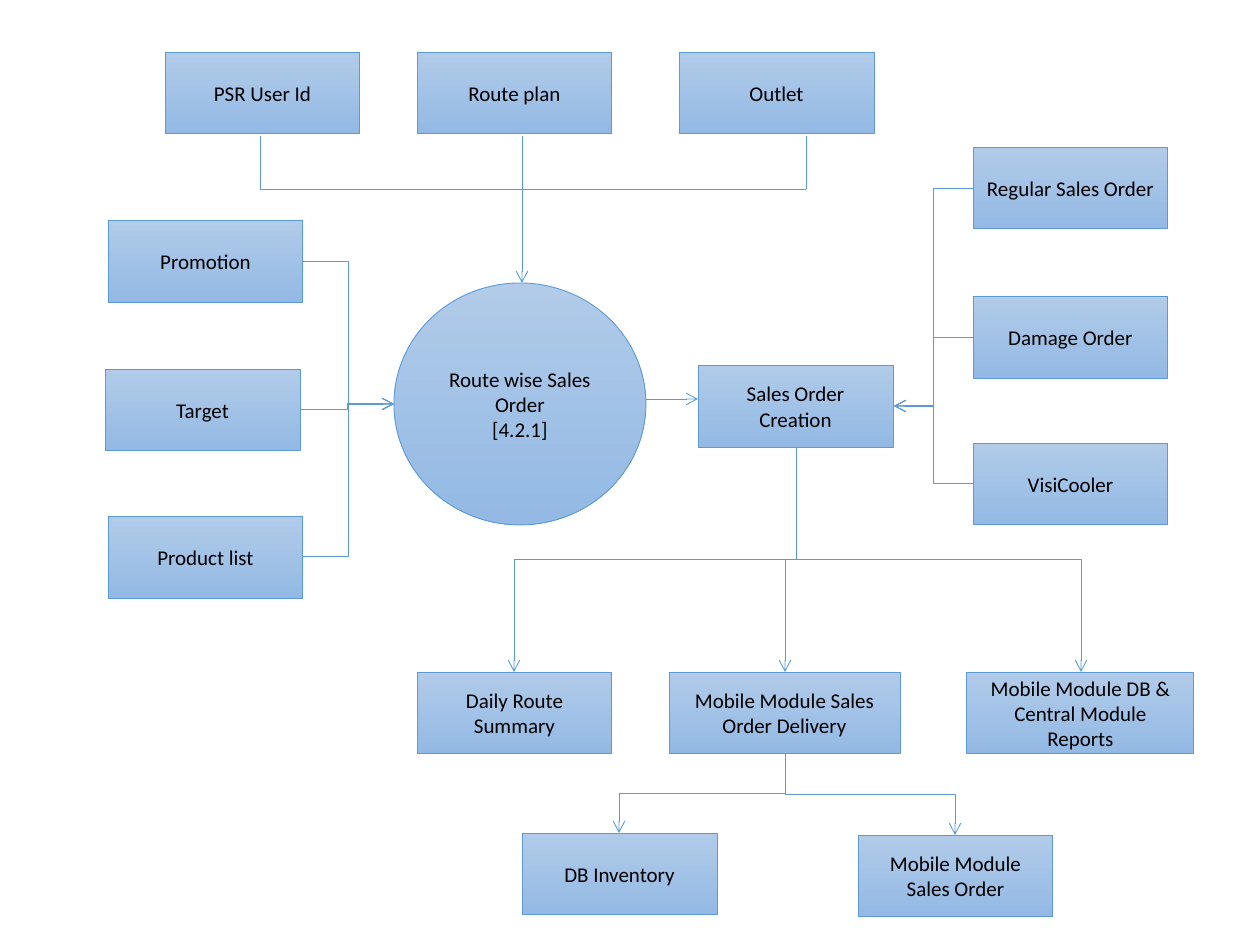
from dataclasses import dataclass

from pptx import Presentation
from pptx.dml.color import RGBColor
from pptx.enum.shapes import MSO_CONNECTOR, MSO_SHAPE
from pptx.enum.text import MSO_ANCHOR, PP_ALIGN
from pptx.oxml.ns import qn
from pptx.util import Emu, Pt
from lxml.etree import SubElement

PX = 914400 // 126
BOX_W, BOX_H = 195, 82


@dataclass(frozen=True)
class Theme:
    """Colours, type and line sizes of the diagram."""
    top: str = "B1CBE9"
    bottom: str = "93B9E4"
    line: str = "5B9BD5"
    text: str = "000000"
    font: str = "Calibri"
    size: float = 12
    line_width: float = 0.5


def px(n):
    """Turn whole pixels into EMU."""
    return Emu(round(n * PX))


def rgb(value):
    """Turn a hex string into a colour."""
    return RGBColor.from_string(value)


def apply(target, values):
    """Set attributes from a dict."""
    for name, value in values.items():
        setattr(target, name, value)


class Diagram:
    """Draws flow chart elements on one slide in one style."""

    def __init__(self, slide, theme):
        """Keep the slide and the style."""
        self.s, self.theme = slide, theme

    def outline(self, line):
        """Give a line the diagram's colour and width."""
        line.color.rgb = rgb(self.theme.line)
        line.width = Pt(self.theme.line_width)

    def node(self, text, x, y, w=BOX_W, h=BOX_H, kind=MSO_SHAPE.RECTANGLE):
        """Add a gradient shape with centred text."""
        sp = self.s.shapes.add_shape(kind, px(x), px(y), px(w), px(h))
        sp.shadow.inherit = False
        sp.fill.gradient()
        sp.fill.gradient_angle = 270
        for stop, color in zip(sp.fill.gradient_stops, (self.theme.top, self.theme.bottom)):
            stop.color.rgb = rgb(color)
        self.outline(sp.line)
        tf = sp.text_frame
        apply(tf, {"word_wrap": True, "vertical_anchor": MSO_ANCHOR.MIDDLE})
        for i, content in enumerate(text.split("\n")):
            p = tf.add_paragraph() if i else tf.paragraphs[0]
            p.alignment = PP_ALIGN.CENTER
            r = p.add_run()
            r.text = content
            apply(r.font, {"name": self.theme.font, "size": Pt(self.theme.size)})
            r.font.color.rgb = rgb(self.theme.text)
        return sp

    def link(self, start, end, kind=MSO_CONNECTOR.STRAIGHT, arrow=True):
        """Add a connector, with an open arrowhead at its end if wanted."""
        c = self.s.shapes.add_connector(kind, *map(px, (*start, *end)))
        self.outline(c.line)
        if arrow:
            SubElement(c.line._get_or_add_ln(), qn("a:tailEnd"), type="arrow")
        SubElement(c._element.spPr, qn("a:effectLst"))
        return c

    def across(self, start, end):
        """Add an elbow that leaves and arrives horizontally."""
        return self.link(start, end, MSO_CONNECTOR.ELBOW)

    def down(self, start, end):
        """Add an elbow that leaves and arrives vertically, by a quarter turn."""
        (x1, y1), (x2, y2) = start, end
        cx, cy = (x1 + x2) / 2, (y1 + y2) / 2
        half_w, half_h = (y2 - y1) / 2, abs(x2 - x1) / 2
        turn = 90
        if x2 > x1:
            turn, half_w = 270, -half_w
        c = self.across((cx - half_w, cy - half_h), (cx + half_w, cy + half_h))
        c._element.spPr.find(qn("a:xfrm")).set("rot", str(turn * 60000))


prs = Presentation()
prs.slide_width, prs.slide_height = px(1260), px(945)
d = Diagram(prs.slides.add_slide(prs.slide_layouts[6]), Theme())

# Inputs from above
bus_y, left_x, right_x = 189, 260, 806
for x in (left_x, right_x):
    d.link((x, 136), (x, bus_y), arrow=False)
d.link((left_x, bus_y), (right_x, bus_y), arrow=False)
d.node("Route wise Sales Order\n[4.2.1]", 394, 283, 252, 242, MSO_SHAPE.OVAL)
for text, x in (("PSR User Id", 165), ("Route plan", 417), ("Outlet", 679)):
    d.node(text, x, 52)
d.link((522, 136), (522, 283))

# Inputs from the left
for text, x, y in (("Promotion", 108, 220), ("Target", 105, 369), ("Product list", 108, 516)):
    d.node(text, x, y)
    d.across((x + BOX_W, y + BOX_H // 2), (394, 404))

# Order creation and the kinds of order
d.node("Sales Order Creation", 698, 365)
d.link((646, 399), (698, 399))
for text, y in (("Regular Sales Order", 147), ("Damage Order", 296), ("VisiCooler", 443)):
    d.node(text, 973, y)
    d.across((973, y + BOX_H // 2), (894, 406))

# Results of order creation: text, left, width, arrow position
for text, x, w, tip in (
    ("Daily Route Summary", 417, BOX_W, 514),
    ("Mobile Module Sales Order Delivery", 669, 231, 785),
    ("Mobile Module DB & Central Module Reports", 967, 227, 1081),
):
    d.node(text, x, 672, w)
    d.down((796, 447), (tip, 672))

# Results of delivery
for text, x, y in (("DB Inventory", 522, 833), ("Mobile Module Sales Order", 858, 835)):
    d.node(text, x, y)
    d.down((785, 754), (x + BOX_W // 2, y))

prs.save("out.pptx")
